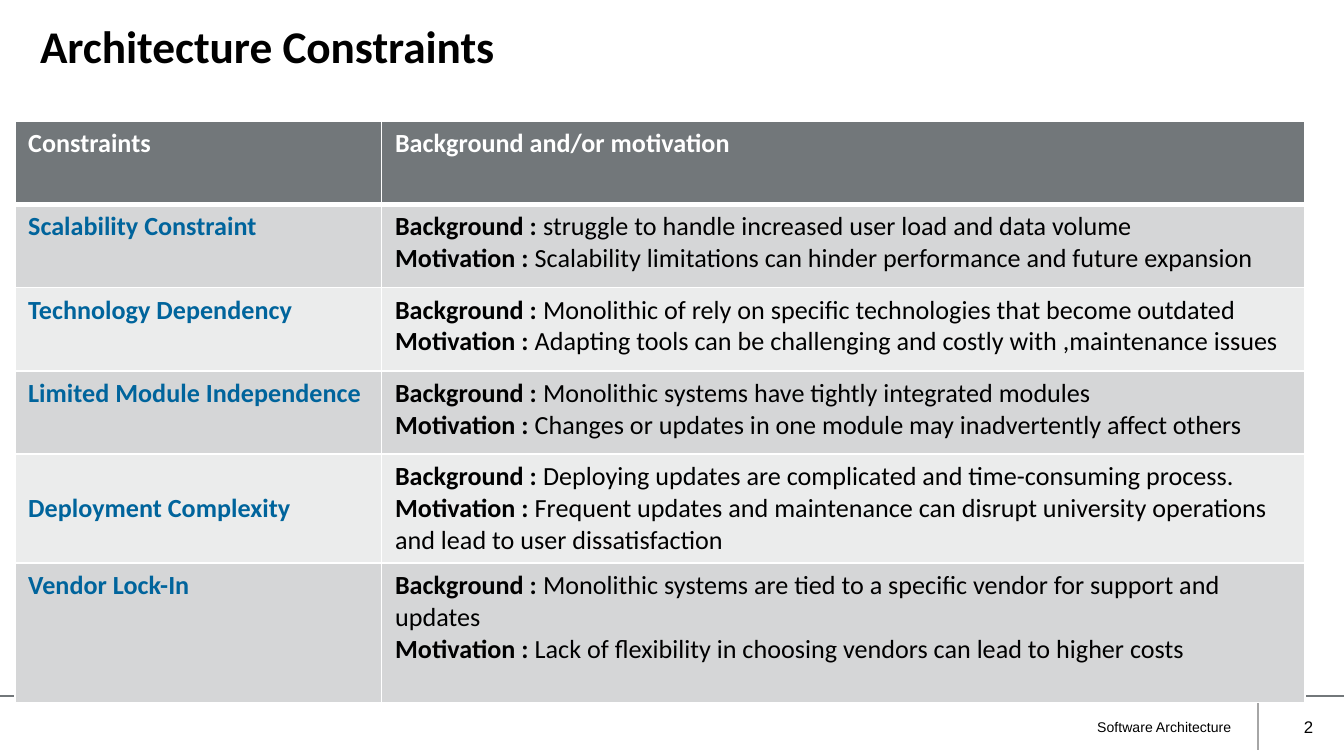
"""Builds the architecture constraints slide with its two-column table."""
from dataclasses import dataclass

from lxml import etree
from pptx import Presentation
from pptx.dml.color import RGBColor
from pptx.enum.shapes import MSO_CONNECTOR
from pptx.enum.text import MSO_ANCHOR, PP_ALIGN
from pptx.oxml.ns import qn
from pptx.util import Inches, Pt

STRAIGHT = MSO_CONNECTOR.STRAIGHT
TOP, MIDDLE = MSO_ANCHOR.TOP, MSO_ANCHOR.MIDDLE
LEFT, RIGHT = PP_ALIGN.LEFT, PP_ALIGN.RIGHT


@dataclass(frozen=True)
class Theme:
    """Keeps the colours, fonts, type sizes and line weights."""
    black: str = "000000"
    white: str = "FFFFFF"
    gray: str = "72777A"
    divider: str = "A6A6A6"
    accent: str = "00649C"
    bands: tuple = ("D5D6D7", "EBECEC")
    body_font: str = "Calibri"
    footer_font: str = "Arial"
    title_size: float = 24.3
    table_size: float = 14
    footer_size: float = 7.5
    number_size: float = 9
    thin: float = 1
    thick: float = 3


HEADERS = ("Constraints", "Background and/or motivation")
LABELS = ("Background : ", "Motivation : ")
CONSTRAINTS = (
    ("Scalability Constraint", TOP, 6.2,
     "struggle to handle increased user load and data volume",
     "Scalability limitations can hinder performance and future expansion"),
    ("Technology Dependency", TOP, 6.2,
     "Monolithic of rely on specific technologies that become outdated",
     "Adapting tools can be challenging and costly with ,maintenance issues"),
    ("Limited Module Independence", TOP, 6.2,
     "Monolithic systems have tightly integrated modules",
     "Changes or updates in one module may inadvertently affect others"),
    ("Deployment Complexity", MIDDLE, 8.1,
     "Deploying updates are complicated and time-consuming process.",
     "Frequent updates and maintenance can disrupt university operations "
     "and lead to user dissatisfaction"),
    ("Vendor Lock-In", TOP, 10.4,
     "Monolithic systems are tied to a specific vendor for support and updates",
     "Lack of flexibility in choosing vendors can lead to higher costs"),
)


class SlideBuilder:
    """Draws elements on a slide, measured in square grid cells, 100 to its width."""

    def __init__(self, presentation, theme):
        self.theme = theme
        self.unit = presentation.slide_width / 100
        self.slide = presentation.slides.add_slide(presentation.slide_layouts[6])

    def grid(self, *lengths):
        """Turns grid lengths into slide lengths."""
        return [round(length * self.unit) for length in lengths]

    def format_run(self, run, size, color, bold=False, font=None):
        """Applies type settings to one run."""
        run.font.name = font or self.theme.body_font
        run.font.size = Pt(size)
        run.font.bold = bold
        run.font.color.rgb = RGBColor.from_string(color)

    def line(self, start, end, color):
        """Draws a thin rule without a shadow."""
        connector = self.slide.shapes.add_connector(STRAIGHT, *self.grid(*start, *end))
        connector.line.color.rgb = RGBColor.from_string(color)
        connector.line.width = Pt(self.theme.thin)
        etree.SubElement(connector._element.spPr, qn("a:effectLst"))

    def text(self, box, content, size, font, align=LEFT, anchor=MIDDLE,
             bold=False, spacing=1.0):
        """Places one line of black text in a box."""
        frame = self.slide.shapes.add_textbox(*self.grid(*box)).text_frame
        frame.word_wrap = True
        frame.vertical_anchor = anchor
        frame.text = content
        paragraph = frame.paragraphs[0]
        paragraph.alignment = align
        paragraph.line_spacing = spacing
        self.format_run(paragraph.runs[0], size, self.theme.black, bold, font)

    def style_cell(self, cell, fill, top, bottom):
        """Gives a cell white borders and a plain fill."""
        properties = cell._tc.get_or_add_tcPr()
        weights = {"L": self.theme.thin, "R": self.theme.thin, "T": top, "B": bottom}
        for side, weight in weights.items():
            border = etree.SubElement(properties, qn(f"a:ln{side}"), w=str(Pt(weight)))
            solid = etree.SubElement(border, qn("a:solidFill"))
            etree.SubElement(solid, qn("a:srgbClr"), val=self.theme.white)
        cell.fill.solid()
        cell.fill.fore_color.rgb = RGBColor.from_string(fill)

    def heading_cell(self, cell, content, color, anchor=TOP):
        """Writes a bold heading in a cell."""
        cell.text_frame.text = content
        cell.vertical_anchor = anchor
        run = cell.text_frame.paragraphs[0].runs[0]
        self.format_run(run, self.theme.table_size, color, bold=True)

    def detail_cell(self, cell, details):
        """Writes one paragraph per detail, each led by a bold label."""
        frame = cell.text_frame
        frame.text = "\n".join(LABELS)
        for paragraph, detail in zip(frame.paragraphs, details):
            paragraph.add_run().text = detail
            for run, bold in zip(paragraph.runs, (True, False)):
                self.format_run(run, self.theme.table_size, self.theme.black, bold)

    def table(self, left, top, column_widths, header_height, constraints):
        """Builds the constraints table with a header and banded rows."""
        theme = self.theme
        heights = [header_height] + [row[2] for row in constraints]
        box = self.grid(left, top, sum(column_widths), sum(heights))
        table = self.slide.shapes.add_table(len(heights), len(column_widths), *box).table
        table.horz_banding = False
        for column, width in zip(table.columns, self.grid(*column_widths)):
            column.width = width
        for index, (row, height) in enumerate(zip(table.rows, self.grid(*heights))):
            row.height = height
            fill = theme.bands[(index - 1) % 2] if index else theme.gray
            above = theme.thick if index == 1 else theme.thin
            below = theme.thin if index else theme.thick
            for cell in row.cells:
                self.style_cell(cell, fill, above, below)
        for column, header in enumerate(HEADERS):
            self.heading_cell(table.cell(0, column), header, theme.white)
        for index, (name, anchor, _, *details) in enumerate(constraints, start=1):
            self.heading_cell(table.cell(index, 0), name, theme.accent, anchor)
            self.detail_cell(table.cell(index, 1), details)


def main():
    """Builds and saves the presentation."""
    presentation = Presentation()
    presentation.slide_width = Inches(10)
    presentation.slide_height = presentation.slide_width * 9 // 16
    theme = Theme()
    builder = SlideBuilder(presentation, theme)
    builder.line((93.6, 52.1), (93.6, 55.8), theme.divider)
    builder.line((0, 51.8), (100, 51.8), theme.gray)
    builder.text((2, 1.3, 96, 4.8), "Architecture Constraints", theme.title_size,
                 theme.body_font, anchor=TOP, bold=True, spacing=0.9)
    builder.text((30.5, 52.6, 62.1, 3), "Software Architecture", theme.footer_size,
                 theme.footer_font, align=RIGHT)
    builder.text((93.4, 52.6, 5.3, 3), "2", theme.number_size,
                 theme.footer_font, align=RIGHT)
    builder.table(1.1, 9, (27.3, 68.7), 6.2, CONSTRAINTS)
    presentation.save("out.pptx")


if __name__ == "__main__":
    main()
